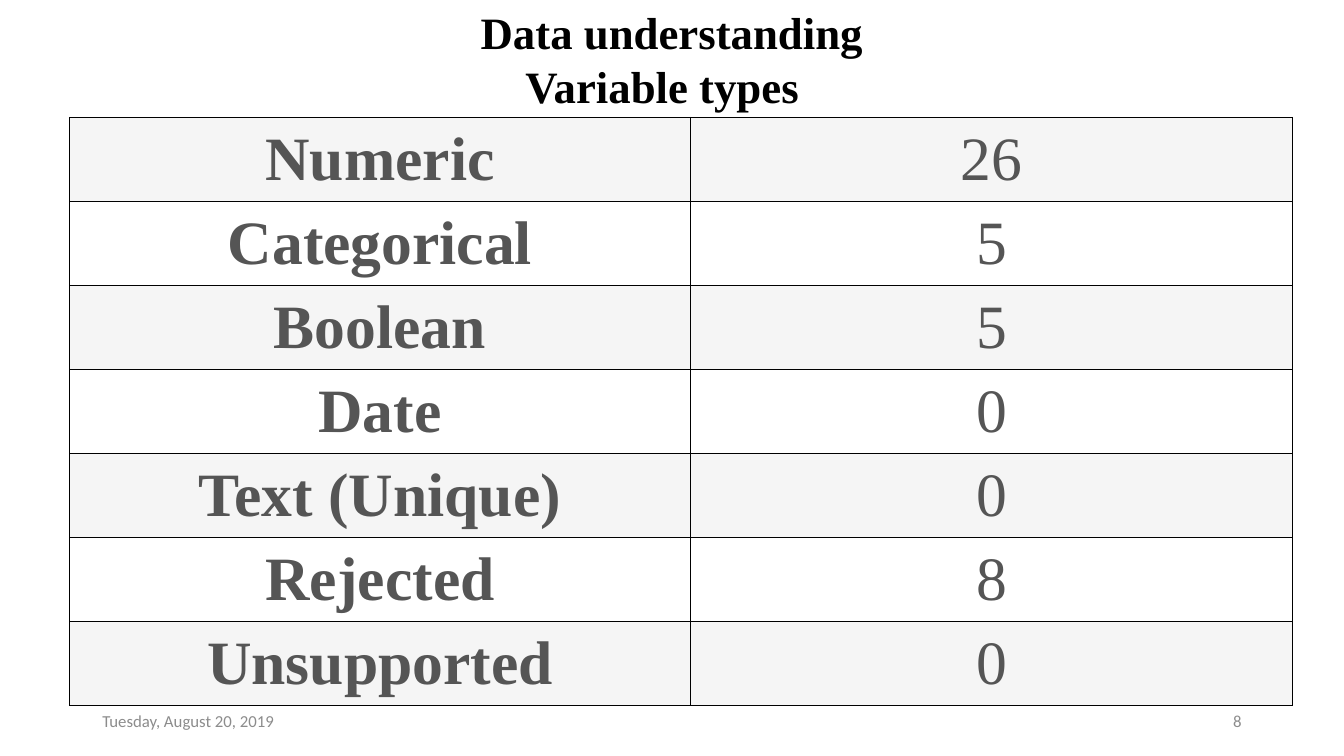
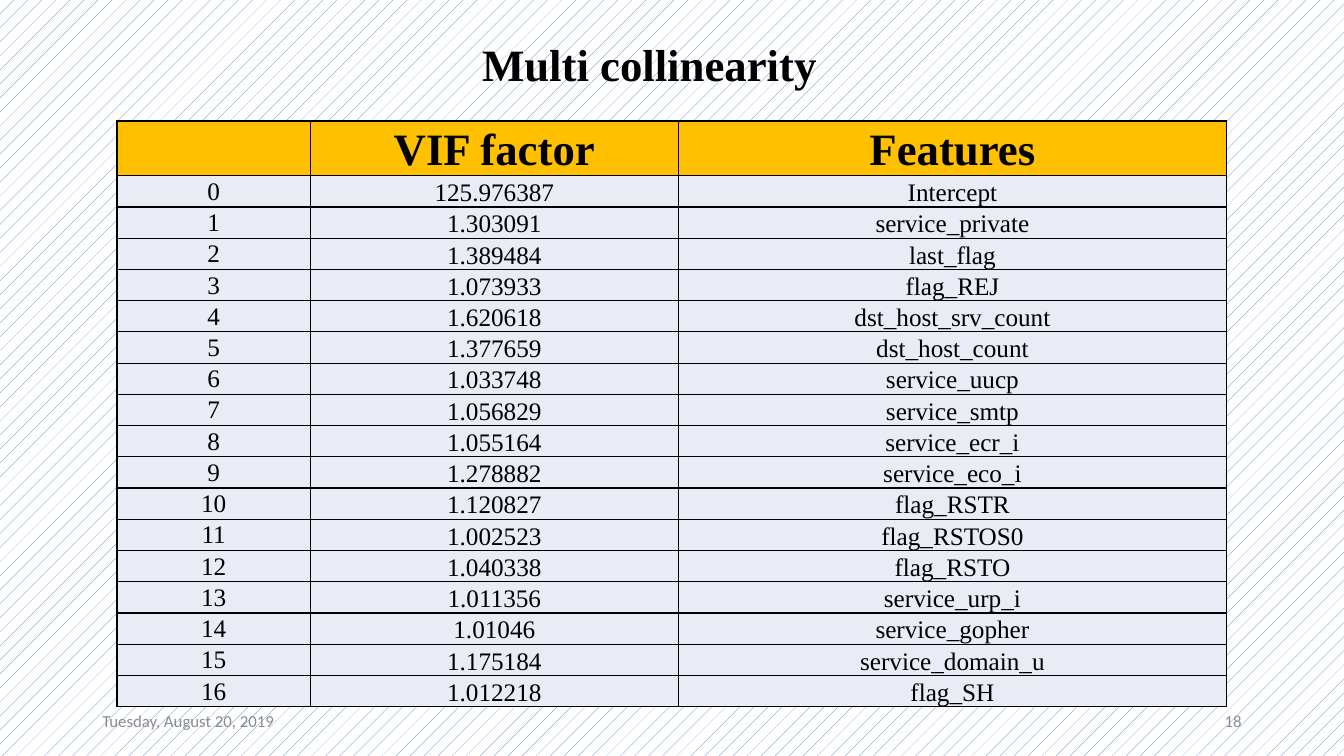
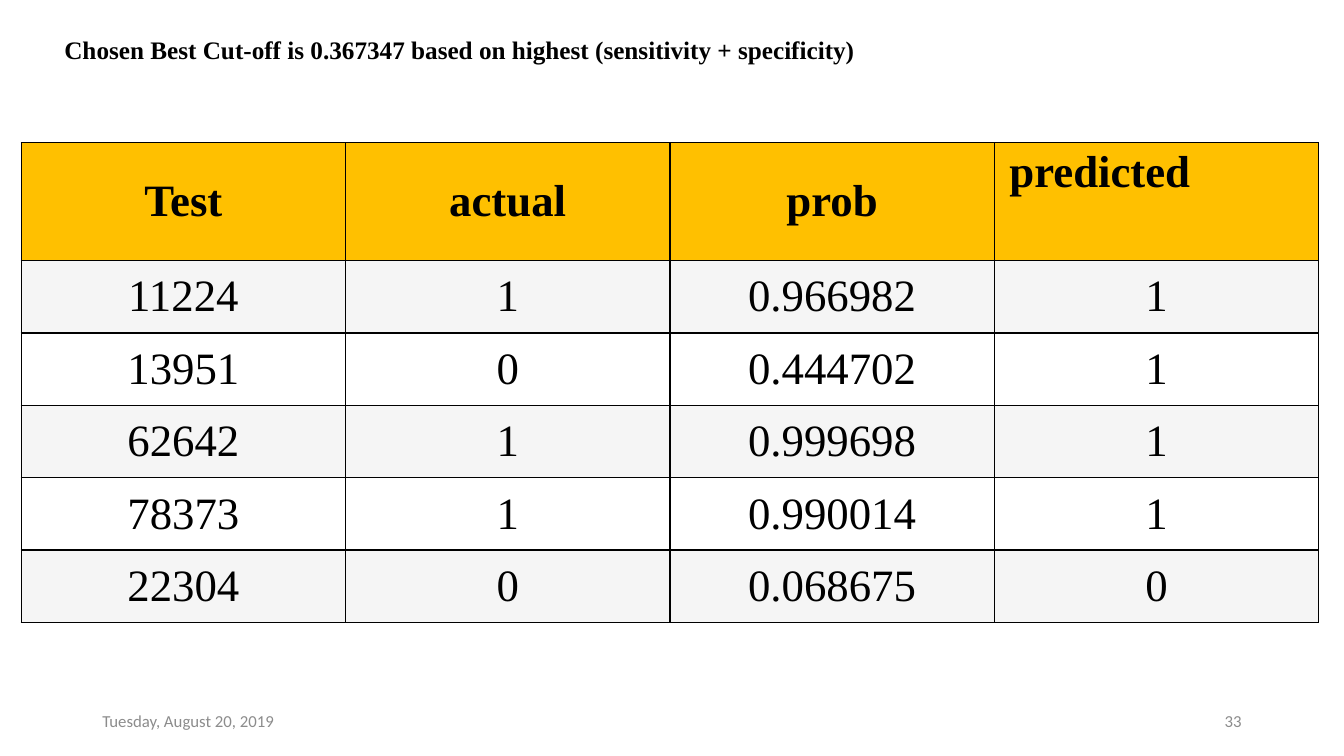
import pptx
import pptx.util
import pptx.dml.color
import pptx.enum.dml
import pptx.enum.text
import pptx.oxml.ns
import lxml.etree

Pt = pptx.util.Pt
RGB = pptx.dml.color.RGBColor.from_string
ALIGN = {"l": pptx.enum.text.PP_ALIGN.LEFT, "c": pptx.enum.text.PP_ALIGN.CENTER,
         "r": pptx.enum.text.PP_ALIGN.RIGHT}
ANCHOR = {"t": pptx.enum.text.MSO_ANCHOR.TOP, "m": pptx.enum.text.MSO_ANCHOR.MIDDLE,
          "b": pptx.enum.text.MSO_ANCHOR.BOTTOM}
COLOR = {"black": "000000", "white": "FFFFFF", "gray": "555555", "foot": "8C8C8C",
         "band": "F5F5F5", "head": "FFC000", "pale": "E9EBF5", "blue": "4472C4"}
SERIF = "Times New Roman"


def write(frame, text, size=18, color="black", bold=False, font=SERIF, align="c",
          anchor="t", indents=(0,)):
    frame.word_wrap = True
    frame.vertical_anchor = ANCHOR[anchor]
    for i, line in enumerate(text.split("\n")):
        para = frame.paragraphs[0] if i == 0 else frame.add_paragraph()
        para.alignment = ALIGN[align]
        if indents[i]:
            props = para._p.get_or_add_pPr()
            props.set("marL", str(Pt(indents[i])))
            props.set("indent", "0")
        run = para.add_run()
        run.text = line
        run.font.size = Pt(size)
        run.font.name = font
        run.font.bold = bold
        run.font.color.rgb = RGB(COLOR[color])


def grid(slide, left, top, widths, heights, fills):
    shape = slide.shapes.add_table(len(heights), len(widths), Pt(left), Pt(top),
                                   Pt(sum(widths)), Pt(sum(heights)))
    table = shape.table
    table.first_row = table.horz_banding = False
    for col, width in zip(table.columns, widths):
        col.width = Pt(width)
    for row, height, fill in zip(table.rows, heights, fills):
        row.height = Pt(height)
        for cell in row.cells:
            props = cell._tc.get_or_add_tcPr()
            for side in "LRTB":
                edge = lxml.etree.SubElement(props, pptx.oxml.ns.qn("a:ln" + side), w=str(Pt(1)))
                solid = lxml.etree.SubElement(edge, pptx.oxml.ns.qn("a:solidFill"))
                lxml.etree.SubElement(solid, pptx.oxml.ns.qn("a:srgbClr"), val=COLOR["black"])
            cell.fill.solid()
            cell.fill.fore_color.rgb = RGB(COLOR[fill])
    return table


deck = pptx.Presentation()
deck.slide_width, deck.slide_height = Pt(960), Pt(540)

pages = [
    ("8", "Data understanding\nVariable types", (48.2, 0, 769.7, 85),
     dict(size=32, align="l", indents=(288, 320))),
    ("18", "Multi collinearity ", (149, 23, 638, 46), dict(size=32)),
    ("33", "Chosen Best Cut-off is 0.367347 based on highest (sensitivity + specificity)",
     (38.9, 20.9, 902.9, 28.8), dict(size=18, align="l")),
]
slides = []
for number, title, spot, style in pages:
    slide = deck.slides.add_slide(deck.slide_layouts[6])
    slide.background.fill.solid()
    slide.background.fill.fore_color.rgb = RGB(COLOR["white"])
    box = slide.shapes.add_textbox(*map(Pt, spot))
    write(box.text_frame, title, bold=True, **style)
    for text, left, align in (("Tuesday, August 20, 2019", 66, "l"), (number, 678, "r")):
        box = slide.shapes.add_textbox(Pt(left), Pt(500.5), Pt(216), Pt(28.8))
        write(box.text_frame, text, size=12, color="foot", font="Calibri", align=align, anchor="m")
    slides.append(slide)
types, vif, cutoff = slides

kinds = [("Numeric", "26"), ("Categorical", "5"), ("Boolean", "5"), ("Date", "0"),
         ("Text (Unique)", "0"), ("Rejected", "8"), ("Unsupported", "0")]
table = grid(types, 49.9, 84, [443.3, 430.2], [59.3] * 7, ["band", "white"] * 3 + ["band"])
for r, row in enumerate(kinds):
    for c, text in enumerate(row):
        cell = table.cell(r, c)
        if c == 1:
            cell.margin_left = cell.margin_right = cell.margin_top = cell.margin_bottom = Pt(0.7)
        write(cell.text_frame, text, size=44, color="gray", bold=c == 0)
        cell.vertical_anchor = ANCHOR["m"]

vif.background.fill.patterned()
vif.background.fill.pattern = pptx.enum.dml.MSO_PATTERN.PERCENT_5
vif.background.fill.fore_color.rgb = RGB(COLOR["blue"])
vif.background.fill.back_color.rgb = RGB(COLOR["white"])
factors = [
    ("125.976387", "Intercept"), ("1.303091", "service_private"), ("1.389484", "last_flag"),
    ("1.073933", "flag_REJ"), ("1.620618", "dst_host_srv_count"),
    ("1.377659", "dst_host_count"), ("1.033748", "service_uucp"),
    ("1.056829", "service_smtp"), ("1.055164", "service_ecr_i"),
    ("1.278882", "service_eco_i"), ("1.120827", "flag_RSTR"), ("1.002523", "flag_RSTOS0"),
    ("1.040338", "flag_RSTO"), ("1.011356", "service_urp_i"), ("1.01046", "service_gopher"),
    ("1.175184", "service_domain_u"), ("1.012218", "flag_SH"),
]
rows = [("", "VIF factor", "Features")] + [(str(i), *pair) for i, pair in enumerate(factors)]
table = grid(vif, 83.5, 86.4, [138.2, 262.8, 391.7], [38.7] + [22.06] * 17,
             ["head"] + ["pale"] * 17)
for r, row in enumerate(rows):
    for c, text in enumerate(row):
        if text:
            cell = table.cell(r, c)
            cell.margin_left = cell.margin_right = cell.margin_top = Pt(0.7)
            cell.margin_bottom = Pt(0)
            write(cell.text_frame, text, size=18 if r else 32, bold=r == 0)
            cell.vertical_anchor = ANCHOR["b" if c else "m"]

tests = [("Test", "actual", "prob", "predicted"), ("11224", "1", "0.966982", "1"),
         ("13951", "0", "0.444702", "1"), ("62642", "1", "0.999698", "1"),
         ("78373", "1", "0.990014", "1"), ("22304", "0", "0.068675", "0")]
table = grid(cutoff, 15.2, 102, [231.7] * 4, [84.2] + [51.7] * 5,
             ["head"] + ["band", "white"] * 2 + ["band"])
for r, row in enumerate(tests):
    for c, text in enumerate(row):
        cell = table.cell(r, c)
        last = text == "predicted"
        write(cell.text_frame, text, size=32, bold=r == 0, align="l" if last else "c")
        cell.vertical_anchor = ANCHOR["t" if last else "m"]
        if last:
            cell.margin_left = Pt(10.8)

deck.save("out.pptx")
